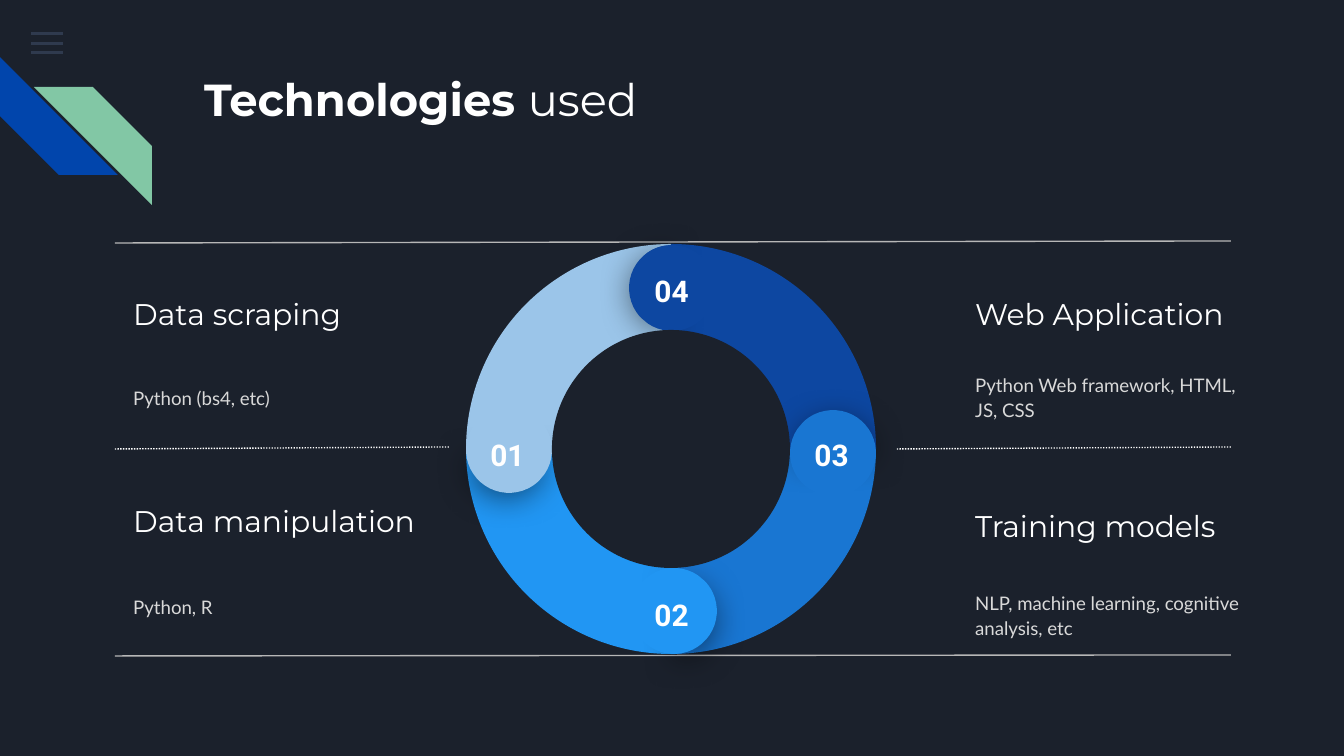
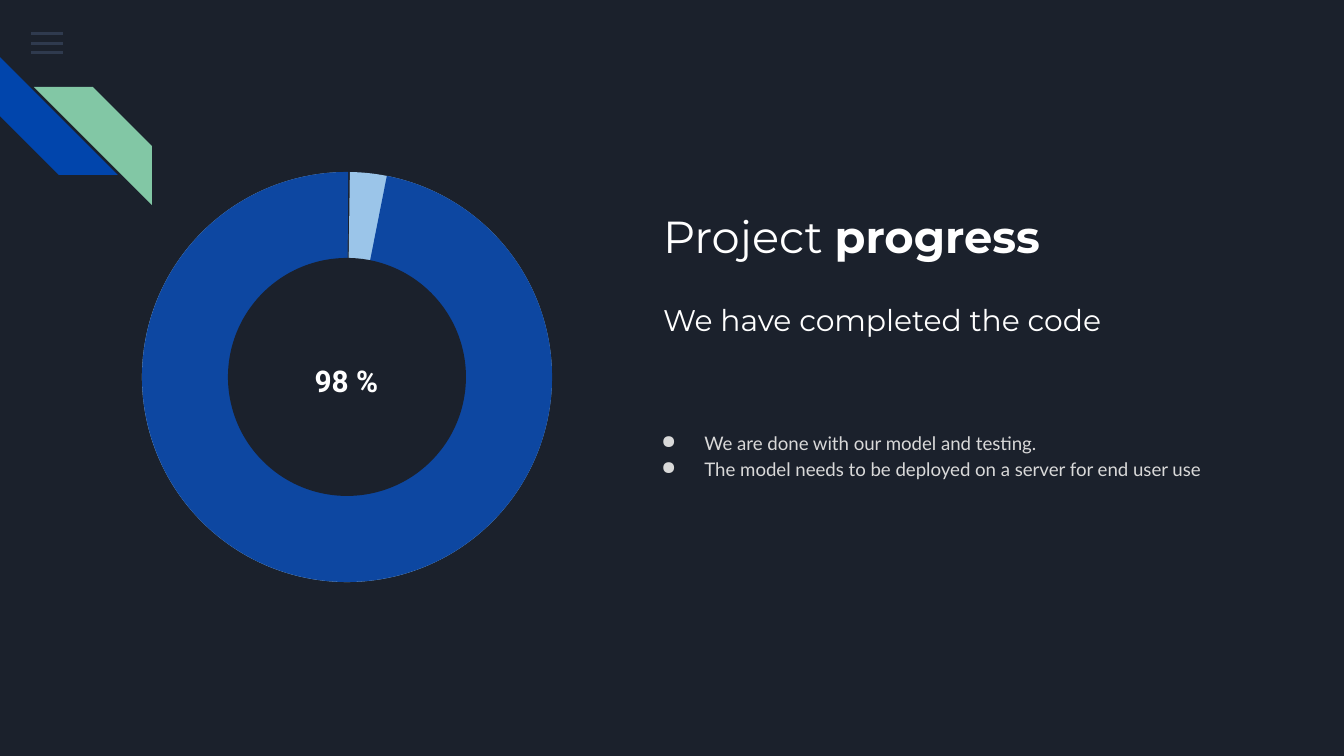
from lxml import etree
from pptx import Presentation
from pptx import util as u
from pptx.dml import color
from pptx.enum import dml, shapes, text
from pptx.oxml import ns

PX = 914400 / 134.4
SHAPE = shapes.MSO_SHAPE
BACKGROUND, WHITE, GREY, RULE = "1B212C", "FFFFFF", "D9D9D9", "B7B7B7"
SKY, NAVY, BLUE, AZURE = "9BC5E9", "0D47A1", "1976D2", "2196F3"
MENU, STRIPE_BLUE, STRIPE_GREEN = "55688B", "0145AC", "82C7A5"
RING, BAND, HOLE = 410, 86, 238  # outer diameter, band width, hole diameter
CAP, SHADOW_CAP = 86, 77

# Content: heading and body with their left, heading top, heading width, body top
TECHNOLOGIES = [
    ("Data scraping", "Python (bs4, etc)", 120, 281, 273, 345),
    ("Data manipulation", "Python, R", 120, 488, 335, 554),
    ("Web Application", "Python Web framework, HTML, JS, CSS", 962, 281, 316, 345),
    ("Training models", "NLP, machine learning, cognitive analysis, etc", 962, 493, 273, 563),
]
# Start and end points, colour, dash
RULES = [
    ((1231, 241), (115, 243), RULE, None),
    ((449, 447), (115, 449), WHITE, dml.MSO_LINE.ROUND_DOT),
    ((1231, 447), (897, 449), WHITE, dml.MSO_LINE.ROUND_DOT),
    ((1231, 655), (115, 656), RULE, None),
]
QUADRANTS = [SKY, NAVY, BLUE, AZURE]
# Number, colour, turn, cap centre, shadow centre, label corner
CAPS = [
    ("01", SKY, 0, (509, 450), (506, 451), (470, 423)),
    ("02", AZURE, 270, (674, 611), (675, 613), (634, 583)),
    ("03", BLUE, 180, (833, 453), (835, 451), (794, 423)),
    ("04", NAVY, 90, (672, 288), (670, 284), (634, 259)),
]
PROGRESS = "98 %"
PROGRESS_NOTES = [
    "We are done with our model and testing.",
    "The model needs to be deployed on a server for end user use",
]


def px(*values):
    return [u.Emu(round(value * PX)) for value in values]


def rgb(value):
    return color.RGBColor.from_string(value)


def add_xml(parent, tag, **attributes):
    return etree.SubElement(parent, ns.qn(tag), attributes)


def add_filled(slide, kind, box, fill, rotation=0, adjustments=()):
    shape = slide.shapes.add_shape(kind, *px(*box))
    shape.shadow.inherit = False
    shape.fill.solid()
    shape.fill.fore_color.rgb = rgb(fill)
    shape.line.fill.background()
    shape.rotation = rotation
    for index, value in enumerate(adjustments):
        shape.adjustments[index] = value
    return shape


def add_sector(slide, kind, box, fill, rotation, start, end):
    """Pie or chord between two angles in degrees, clockwise from the right."""
    return add_filled(slide, kind, box, fill, rotation, (start * 0.6, end * 0.6))


def centred(centre, size):
    return centre[0] - size / 2, centre[1] - size / 2, size, size


def add_text(slide, box, paragraphs, size, font, fill, bold=False, middle=True, wrap=True):
    """Each paragraph is a list of (text, bold) runs or a plain string."""
    shape = slide.shapes.add_textbox(*px(*box))
    frame = shape.text_frame
    frame.word_wrap = wrap
    frame.margin_top = frame.margin_bottom = u.Inches(0.1)
    frame.vertical_anchor = text.MSO_ANCHOR.MIDDLE if middle else text.MSO_ANCHOR.TOP
    for index, runs in enumerate(paragraphs):
        paragraph = frame.add_paragraph() if index else frame.paragraphs[0]
        for wording, strong in [(runs, bold)] if isinstance(runs, str) else runs:
            run = paragraph.add_run()
            run.text = wording
            run.font.size, run.font.name, run.font.bold = u.Pt(size), font, strong
            run.font.color.rgb = rgb(fill)
    return frame.paragraphs


def add_title(slide, box, runs):
    add_text(slide, box, [runs], 24, "Montserrat", WHITE, middle=False)


def add_heading(slide, box, wording):
    add_text(slide, box, [wording], 16, "Montserrat", WHITE)


def add_body(slide, box, lines, bulleted=False):
    for paragraph in add_text(slide, box, lines, 10, "Lato", GREY):
        if bulleted:
            properties = paragraph._p.get_or_add_pPr()
            properties.set("marL", str(u.Inches(0.5)))
            properties.set("indent", str(u.Inches(-0.32)))
            add_xml(add_xml(properties, "a:buClr"), "a:srgbClr", val=GREY)
            add_xml(properties, "a:buChar", char="●")
        paragraph.line_spacing = 1.15


def add_number(slide, box, wording):
    paragraph = add_text(slide, box, [wording], 16, "Roboto", WHITE,
                         bold=True, middle=False, wrap=False)[0]
    paragraph.alignment = text.PP_ALIGN.CENTER


def add_rule(slide, start, end, fill, dash):
    line = slide.shapes.add_connector(shapes.MSO_CONNECTOR.STRAIGHT, *px(*start, *end))
    line.line.color.rgb = rgb(fill)
    line.line.width = u.Pt(0.75)
    if dash:
        line.line.dash_style = dash
    add_xml(line._element.spPr, "a:effectLst")


def add_soft_shadow(shape):
    effects = shape._element.spPr.find(ns.qn("a:effectLst"))
    shadow = add_xml(effects, "a:outerShdw", blurRad=str(u.Pt(18)), dist=str(u.Pt(4)),
                     dir="5400000", algn="bl", rotWithShape="0")
    add_xml(add_xml(shadow, "a:srgbClr", val="000000"), "a:alpha", val="55000")


def add_hole(slide, left, top):
    add_filled(slide, SHAPE.OVAL, (left + BAND, top + BAND, HOLE, HOLE), BACKGROUND)


def add_slide(presentation):
    """Blank slide with the menu icon and the corner stripes."""
    slide = presentation.slides.add_slide(presentation.slide_layouts[6])
    for top in (32, 42, 51):
        bar = add_filled(slide, SHAPE.RECTANGLE, (31, top, 32, 3), MENU)
        tint = bar._element.spPr.find(".//" + ns.qn("a:srgbClr"))
        add_xml(tint, "a:alpha", val="36000")
    add_filled(slide, SHAPE.DIAGONAL_STRIPE, (0, 57, 118, 118), STRIPE_BLUE, 270, (0.5,))
    green = add_filled(slide, SHAPE.DIAGONAL_STRIPE, (34, 87, 118, 118), STRIPE_GREEN, 0, (0.5,))
    green._element.spPr.xfrm.set("flipH", "1")
    return slide


def build_technologies(presentation):
    slide = add_slide(presentation)
    add_title(slide, (191, 58, 1035, 134), [("Technologies ", True), ("used", False)])
    for heading, body, left, top, width, body_top in TECHNOLOGIES:
        add_heading(slide, (left, top, width, 66), heading)
        add_body(slide, (left, body_top, 293, 102), [body])
    for rule in RULES:
        add_rule(slide, *rule)

    # Ring of four quadrants, each ending in a round cap
    left, top = 466, 244
    for index, fill in enumerate(QUADRANTS):
        add_sector(slide, SHAPE.PIE, (left, top, RING, RING), fill, index * 90, 180, 270)
    for number, fill, turn, centre, shadow_centre, label in CAPS:
        half = add_sector(slide, SHAPE.PIE, centred(shadow_centre, SHADOW_CAP), fill,
                          (turn + 39.5) % 360, 316, 140)
        add_soft_shadow(half)
        add_sector(slide, SHAPE.CHORD, centred(centre, CAP), fill, turn + 4, 41.7, 30.2)
        add_number(slide, (*label, 75, 39), number)
    add_hole(slide, left, top)


def build_progress(presentation):
    slide = add_slide(presentation)
    add_title(slide, (650, 195, 508, 134), [("Project ", False), ("progress", True)])
    add_heading(slide, (650, 287, 479, 66), "We have completed the code")
    add_body(slide, (624, 350, 600, 208), PROGRESS_NOTES, bulleted=True)

    # Progress ring
    left, top = 142, 172
    ring = (left, top, RING, RING)
    add_sector(slide, SHAPE.PIE, ring, SKY, 0, 270.8, 270)
    add_sector(slide, SHAPE.PIE, ring, NAVY, 90, 191.2, 180.3)
    add_hole(slide, left, top)
    add_number(slide, (301, 349, 91, 39), PROGRESS)


def main():
    presentation = Presentation()
    presentation.slide_width, presentation.slide_height = px(1344, 756)
    backdrop = presentation.slide_master.background.fill
    backdrop.solid()
    backdrop.fore_color.rgb = rgb(BACKGROUND)
    build_technologies(presentation)
    build_progress(presentation)
    presentation.save("out.pptx")


if __name__ == "__main__":
    main()
